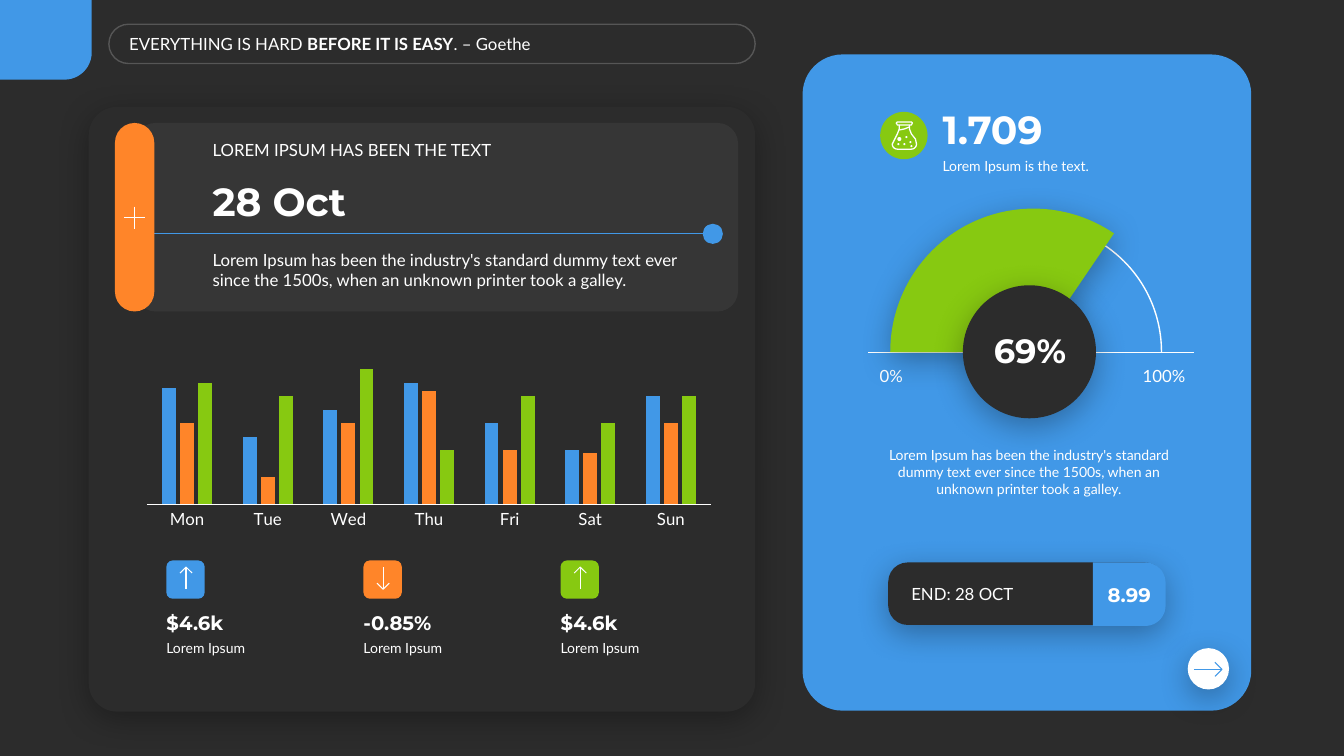
from dataclasses import dataclass
from math import cos, radians, sin

from pptx import Presentation
from pptx import util as u
from pptx.chart import data
from pptx.dml.color import RGBColor
from pptx.enum import chart as ch
from pptx.enum import shapes, text
from pptx.oxml import parse_xml
from pptx.oxml.ns import nsdecls, qn
from pptx.slide import Slide

DARK = RGBColor(0x2C, 0x2C, 0x2C)
BLACK = RGBColor(0, 0, 0)
WHITE = RGBColor(0xFF, 0xFF, 0xFF)
BLUE = RGBColor(0x41, 0x98, 0xE7)
ORANGE = RGBColor(0xFF, 0x85, 0x29)
GREEN = RGBColor(0x87, 0xC9, 0x11)

KIND = shapes.MSO_SHAPE
ROUND = KIND.ROUNDED_RECTANGLE
OVAL = KIND.OVAL
MID = text.MSO_ANCHOR.MIDDLE
LOW = text.MSO_ANCHOR.BOTTOM
MAIN = "Lato"
HEAD = "Montserrat"


def bend(x, y, r, start, end, steps=12):
    """Points on a circle from one angle to another, in degrees clockwise."""
    turns = [radians(start + (end - start) * i / steps) for i in range(steps + 1)]
    return [(x + r * cos(a), y + r * sin(a)) for a in turns]


def fade(shape, rate):
    """Make every colour of a shape partly clear, at a rate in percent."""
    for tint in shape.element.spPr.iter(qn("a:srgbClr")):
        tint.append(parse_xml(f'<a:alpha {nsdecls("a")} val="{rate * 1000}"/>'))


@dataclass
class Pen:
    slide: Slide

    def paint(self, shape, fill=None, line=None, width=1, shade=False):
        shape.shadow.inherit = False
        if fill is None:
            shape.fill.background()
        else:
            shape.fill.solid()
            shape.fill.fore_color.rgb = fill
        if line is None:
            shape.line.fill.background()
        else:
            shape.line.color.rgb = line
            shape.line.width = u.Pt(width)
        if shade:
            shape.element.spPr.find(qn("a:effectLst")).append(parse_xml(
                f'<a:outerShdw {nsdecls("a")} blurRad="{u.Pt(23)}" dist="{u.Pt(6)}" '
                f'dir="5400000" algn="t" rotWithShape="0"><a:srgbClr val="{BLACK}">'
                '<a:alpha val="30000"/></a:srgbClr></a:outerShdw>'))
        return shape

    def shape(self, kind, box, adj=(), **style):
        item = self.slide.shapes.add_shape(kind, *map(u.Inches, box))
        for i, value in enumerate(adj):
            item.adjustments[i] = value
        return self.paint(item, **style)

    def draw(self, *parts, close=False, **style):
        """Build one outline from lists of points."""
        parts = [[(u.Inches(x), u.Inches(y)) for x, y in part] for part in parts]
        form = self.slide.shapes.build_freeform(*parts[0][0], scale=1)
        for i, part in enumerate(parts):
            if i:
                form.move_to(*part[0])
            form.add_line_segments(part[1:], close=close)
        return self.paint(form.convert_to_shape(), **style)

    def line(self, x1, y1, x2, y2, color, width):
        link = self.slide.shapes.add_connector(
            shapes.MSO_CONNECTOR.STRAIGHT, *map(u.Inches, (x1, y1, x2, y2)))
        link.line.color.rgb = color
        link.line.width = u.Pt(width)
        link.element.spPr.append(parse_xml(f'<a:effectLst {nsdecls("a")}/>'))

    def arrow(self, x, y, dx, dy, long, wing, color):
        """Open arrow centred on x, y and pointing along dx, dy."""
        tip = (x + dx * long / 2, y + dy * long / 2)
        tail = (x - dx * long / 2, y - dy * long / 2)
        back = (tip[0] - dx * wing, tip[1] - dy * wing)
        barbs = [(back[0] + s * dy * wing, back[1] + s * dx * wing) for s in (-1, 1)]
        self.draw([tail, tip], [barbs[0], tip, barbs[1]], line=color, width=0.75)

    def text(self, box, runs, size, font=MAIN, bold=False, anchor=text.MSO_ANCHOR.TOP,
             center=False, side=0.1, edge=0.05, wrap=True, after=0):
        frame = self.slide.shapes.add_textbox(*map(u.Inches, box)).text_frame
        frame.word_wrap = wrap
        frame.auto_size = text.MSO_AUTO_SIZE.SHAPE_TO_FIT_TEXT
        frame.vertical_anchor = anchor
        frame.margin_left = frame.margin_right = u.Inches(side)
        frame.margin_top = frame.margin_bottom = u.Inches(edge)
        para = frame.paragraphs[0]
        para.alignment = text.PP_ALIGN.CENTER if center else text.PP_ALIGN.LEFT
        para.space_after = u.Pt(after)
        for words, strong in [(runs, bold)] if isinstance(runs, str) else runs:
            run = para.add_run()
            run.text = words
            run.font.size = u.Pt(size)
            run.font.name = font
            run.font.bold = strong
            run.font.color.rgb = WHITE

    def chart(self, box, names, rows):
        """Clustered columns from (colour, values) rows."""
        info = data.CategoryChartData()
        info.categories = names
        for i, (_, values) in enumerate(rows, 1):
            info.add_series(f"Series {i}", values)
        graph = self.slide.shapes.add_chart(
            ch.XL_CHART_TYPE.COLUMN_CLUSTERED, *map(u.Inches, box), info).chart
        graph.has_legend = graph.has_title = False
        graph.font.size = u.Pt(12)
        graph.font.name = MAIN
        graph.font.color.rgb = WHITE
        plot = graph.plots[0]
        plot.gap_width, plot.overlap = 220, -30
        plot.vary_by_categories = False
        for bars, (color, _) in zip(plot.series, rows):
            bars.format.fill.solid()
            bars.format.fill.fore_color.rgb = color
        base, scale = graph.category_axis, graph.value_axis
        base.major_tick_mark = ch.XL_TICK_MARK.NONE
        base.format.line.color.rgb = WHITE
        base.format.line.width = u.Pt(0.75)
        scale.has_major_gridlines = False
        scale.minimum_scale, scale.maximum_scale = 0, 120
        scale.visible = False


deck = Presentation()
deck.slide_width, deck.slide_height = u.Inches(13.33), u.Inches(7.5)
slide = deck.slides.add_slide(deck.slide_layouts[6])
slide.background.fill.solid()
slide.background.fill.fore_color.rgb = DARK
pen = Pen(slide)
LOREM = ("Lorem Ipsum has been the industry's standard dummy text ever since the 1500s, "
         "when an unknown printer took a galley.")

# Panels and quote
pen.shape(ROUND, (0.88, 1.06, 6.61, 6), [0.047], fill=DARK, shade=True)
fade(pen.shape(ROUND, (1.08, 0.24, 6.41, 0.39), [0.5], line=WHITE), 20)
pen.text((1.24, 0.28, 6.08, 0.3), [("EVERYTHING IS HARD ", False),
         ("BEFORE IT IS EASY", True), (". – Goethe", False)], 12, anchor=MID, side=0.04)
pen.draw([(0, 0), (0.91, 0), *bend(0.64, 0.52, 0.27, 0, 90), (0, 0.79)],
         close=True, fill=BLUE)
pen.shape(ROUND, (7.96, 0.54, 4.45, 6.51), [0.089], fill=BLUE)

# Date card
fade(pen.shape(ROUND, (1.34, 1.22, 5.98, 1.87), [0.109], fill=WHITE), 5)
pen.text((2.01, 2.43, 5.1, 0.5), LOREM, 12, after=6)
pen.text((2.01, 1.71, 5.1, 0.57), "28 Oct", 28, HEAD, True, LOW)
pen.text((2.01, 1.34, 5.1, 0.3), "LOREM IPSUM HAS BEEN THE TEXT", 12, anchor=LOW)
pen.line(1.44, 2.32, 6.97, 2.32, BLUE, 0.5)
pen.shape(OVAL, (6.97, 2.22, 0.2, 0.2), fill=BLUE)
pen.shape(ROUND, (1.14, 1.22, 0.39, 1.87), [0.5], fill=ORANGE)
pen.draw([(1.23, 2.16), (1.44, 2.16)], [(1.33, 2.05), (1.33, 2.27)], line=WHITE, width=0.75)

# Week chart and figures
pen.chart((1.34, 3.36, 5.83, 1.92), ["Mon", "Tue", "Wed", "Thu", "Fri", "Sat", "Sun"],
          [(BLUE, (86, 50, 70, 90, 60, 40, 80)),
           (ORANGE, (60, 20, 60, 84, 40, 38, 60)),
           (GREEN, (90, 80, 100, 40, 80, 60, 80))])
for i, (color, way, value) in enumerate(
        [(BLUE, -1, "$4.6k"), (ORANGE, 1, "-0.85%"), (GREEN, -1, "$4.6k")]):
    left = 1.65 + 1.955 * i
    pen.shape(ROUND, (left, 5.56, 0.38, 0.38), fill=color)
    pen.arrow(left + 0.195, 5.735, 0, way, 0.22, 0.06, WHITE)
    pen.text((left, 6.3, 1.41, 0.27), "Lorem Ipsum", 10, side=0)
    pen.text((left, 6, 1.41, 0.34), value, 14, HEAD, True, LOW, side=0)

# Flask figure
pen.text((9.25, 1.51, 2.73, 0.27), "Lorem Ipsum is the text.", 10)
pen.text((9.25, 0.99, 2.73, 0.57), "1.709", 28, HEAD, True, LOW)
pen.shape(OVAL, (8.73, 1.11, 0.47, 0.47), fill=GREEN)
pen.draw([(8.9, 1.21), (9.04, 1.21), (9.05, 1.22), (9.04, 1.24), (8.9, 1.24), (8.89, 1.22),
          (8.9, 1.21)],
         [(8.92, 1.24), (8.92, 1.28), (8.9, 1.33), *bend(8.9, 1.43, 0.05, 180, 90),
          *bend(9.04, 1.43, 0.05, 90, 0), (9.08, 1.38), (9.04, 1.33), (9.02, 1.28),
          (9.02, 1.24)],
         [(8.92, 1.29), (8.97, 1.28), (9.02, 1.26)], line=WHITE, width=0.9)
for x, y, r in [(8.92, 1.38, 0.02), (8.99, 1.36, 0.01), (8.97, 1.43, 0.01),
                (8.91, 1.43, 0.01), (9.03, 1.41, 0.01), (9.04, 1.45, 0.01)]:
    pen.shape(OVAL, (x - r, y - r, 2 * r, 2 * r), fill=WHITE)

# Gauge
pen.shape(KIND.ARC, (8.98, 2.22, 2.54, 2.54), [107.89, 0], line=WHITE)
pen.line(8.61, 3.5, 11.84, 3.5, WHITE, 1)
for left, width, mark in [(8.68, 0.32, "0%"), (11.25, 0.59, "100%")]:
    pen.text((left, 3.59, width, 0.28), mark, 12, anchor=MID, center=True,
             side=0, edge=0, wrap=False)
pen.shape(KIND.ARC, (8.83, 2.07, 2.84, 2.84), [107.89, 182.54], fill=GREEN, shade=True)
pen.text((8.54, 4.38, 3.33, 0.61), LOREM, 10, center=True, after=6)
pen.shape(OVAL, (9.55, 2.83, 1.32, 1.32), fill=DARK, shade=True)
pen.text((9.47, 3.22, 1.49, 0.5), "69%", 24, HEAD, True, MID, True)

# Next button and price tag
pen.shape(OVAL, (11.78, 6.43, 0.41, 0.41), fill=WHITE, shade=True)
pen.arrow(11.98, 6.64, 1, 0, 0.28, 0.07, BLUE)
pen.shape(ROUND, (8.81, 5.58, 2.74, 0.62), [0.311], fill=DARK, shade=True)
pen.text((8.94, 5.74, 1.96, 0.3), "END: 28 OCT", 12, anchor=MID)
pen.draw([(10.84, 5.58), *bend(11.36, 5.78, 0.2, -90, 0), *bend(11.36, 6.01, 0.2, 0, 90),
          (10.84, 6.21)], close=True, fill=BLUE)
pen.text((10.84, 5.73, 0.72, 0.34), "8.99", 14, HEAD, True, MID, True, side=0.04)

deck.save("out.pptx")
